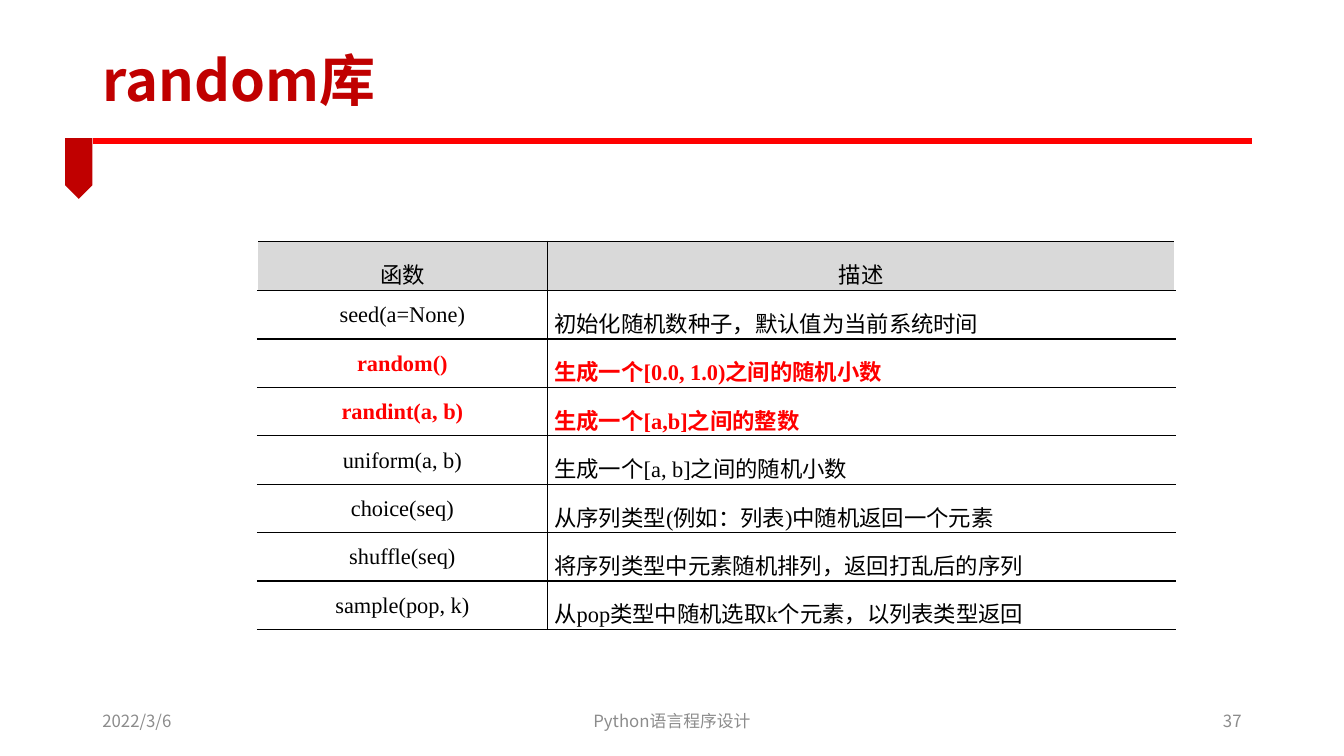
"""Build the slide that lists the functions of the random library."""
from typing import NamedTuple

from lxml.etree import SubElement
from pptx import Presentation
from pptx.dml.color import RGBColor
from pptx.enum.shapes import MSO_CONNECTOR, MSO_SHAPE
from pptx.enum.text import MSO_ANCHOR, MSO_AUTO_SIZE, PP_ALIGN
from pptx.oxml.ns import qn
from pptx.util import Cm, Pt

SANS = "Noto Sans CJK SC"
SERIF = "Times New Roman"
BLACK, RED, DARK_RED = "000000", "FF0000", "C00000"
GREY, HEADER_GREY, WHITE = "8C8C8C", "D9D9D9", "FFFFFF"


class Footer(NamedTuple):
    """A text along the bottom edge, in centimetres."""
    text: str
    left: float
    width: float
    align: PP_ALIGN


class Function(NamedTuple):
    """A table row about one function."""
    name: str
    description: str
    key: bool = False


FOOTERS = [
    Footer("2022/3/6", 2.33, 7.62, PP_ALIGN.LEFT),
    Footer("Python语言程序设计", 11.22, 11.43, PP_ALIGN.CENTER),
    Footer("37", 23.92, 7.62, PP_ALIGN.RIGHT),
]
FUNCTIONS = [
    Function("函数", "描述"),
    Function("seed(a=None)", "初始化随机数种子，默认值为当前系统时间"),
    Function("random()", "生成一个[0.0, 1.0)之间的随机小数", True),
    Function("randint(a, b)", "生成一个[a,b]之间的整数", True),
    Function("uniform(a, b)", "生成一个[a, b]之间的随机小数"),
    Function("choice(seq)", "从序列类型(例如：列表)中随机返回一个元素"),
    Function("shuffle(seq)", "将序列类型中元素随机排列，返回打乱后的序列"),
    Function("sample(pop, k)", "从pop类型中随机选取k个元素，以列表类型返回"),
]


def rgb(color: str) -> RGBColor:
    """Turn a hex string into a colour."""
    return RGBColor.from_string(color)


def write(tf, text: str, *, size: float, color: str, font: str = SANS,
          bold: bool = False, align: PP_ALIGN = PP_ALIGN.LEFT,
          spacing: float = 1.0) -> None:
    """Fill a text frame with one formatted paragraph."""
    p = tf.paragraphs[0]
    p.alignment = align
    p.line_spacing = spacing
    r = p.add_run()
    r.text = text
    r.font.size = Pt(size)
    r.font.bold = bold
    r.font.name = font
    r.font.color.rgb = rgb(color)
    SubElement(r.font._element, qn("a:ea"), typeface=SANS)


def add_border(cell, side: str) -> None:
    """Draw a thin black border on one side of a cell."""
    ln = SubElement(cell._tc.get_or_add_tcPr(), qn(f"a:ln{side}"), w=str(Pt(1)))
    fill = SubElement(ln, qn("a:solidFill"))
    SubElement(fill, qn("a:srgbClr"), val=BLACK)


def add_title(s, text: str) -> None:
    """Place and format the title."""
    sp = s.shapes.title
    sp.left, sp.top, sp.width, sp.height = Cm(2.34), Cm(0.92), Cm(21.97), Cm(2.34)
    tf = sp.text_frame
    tf.auto_size = MSO_AUTO_SIZE.NONE
    tf.vertical_anchor = MSO_ANCHOR.MIDDLE
    write(tf, text, size=40, color=DARK_RED, bold=True, spacing=0.9)


def add_rule(s) -> None:
    """Draw the red rule and the ribbon that hangs from it."""
    line = s.shapes.add_connector(MSO_CONNECTOR.STRAIGHT,
                                  Cm(2.34), Cm(3.56), Cm(31.55), Cm(3.56))
    line.line.color.rgb = rgb(RED)
    line.line.width = Pt(4.5)
    SubElement(line._element.spPr, qn("a:effectLst"))
    ribbon = s.shapes.add_shape(MSO_SHAPE.PENTAGON,
                                Cm(1.22), Cm(3.9), Cm(1.53), Cm(0.69))
    ribbon.rotation = 90
    ribbon.shadow.inherit = False
    ribbon.fill.solid()
    ribbon.fill.fore_color.rgb = rgb(DARK_RED)
    ribbon.line.fill.background()


def add_footer(s, footer: Footer) -> None:
    """Add one footer text."""
    sp = s.shapes.add_textbox(Cm(footer.left), Cm(17.65), Cm(footer.width), Cm(1.02))
    tf = sp.text_frame
    tf.word_wrap = True
    tf.vertical_anchor = MSO_ANCHOR.MIDDLE
    write(tf, footer.text, size=12, color=GREY, align=footer.align)


def add_functions(s, functions: list[Function]) -> None:
    """Add the table of functions, its header first."""
    table = s.shapes.add_table(len(functions), 2, Cm(6.49), Cm(6.08),
                               Cm(23.12), Cm(9.78)).table
    table.first_row = table.horz_banding = False
    table.columns[0].width, table.columns[1].width = Cm(7.3), Cm(15.82)
    for i, function in enumerate(functions):
        header = i == 0
        table.rows[i].height = Cm(1.24 if header else 1.22)
        for j, text in enumerate((function.name, function.description)):
            cell = table.cell(i, j)
            cell.margin_left = cell.margin_right = Cm(0.18)
            cell.margin_top = cell.margin_bottom = 0
            for side in ("R" if j == 0 else "L", "T", "B"):
                add_border(cell, side)
            cell.fill.solid()
            cell.fill.fore_color.rgb = rgb(HEADER_GREY if header else WHITE)
            centred = header or j == 0
            write(cell.text_frame, text, size=16, font=SERIF, spacing=1.5,
                  color=RED if function.key else BLACK, bold=function.key,
                  align=PP_ALIGN.CENTER if centred else PP_ALIGN.JUSTIFY)


def main() -> None:
    """Build and save the slide."""
    prs = Presentation()
    prs.slide_width, prs.slide_height = Cm(33.87), Cm(19.05)
    s = prs.slides.add_slide(prs.slide_layouts.get_by_name("Title Only"))
    add_rule(s)
    add_title(s, "random库")
    for footer in FOOTERS:
        add_footer(s, footer)
    add_functions(s, FUNCTIONS)
    prs.save("out.pptx")


if __name__ == "__main__":
    main()
